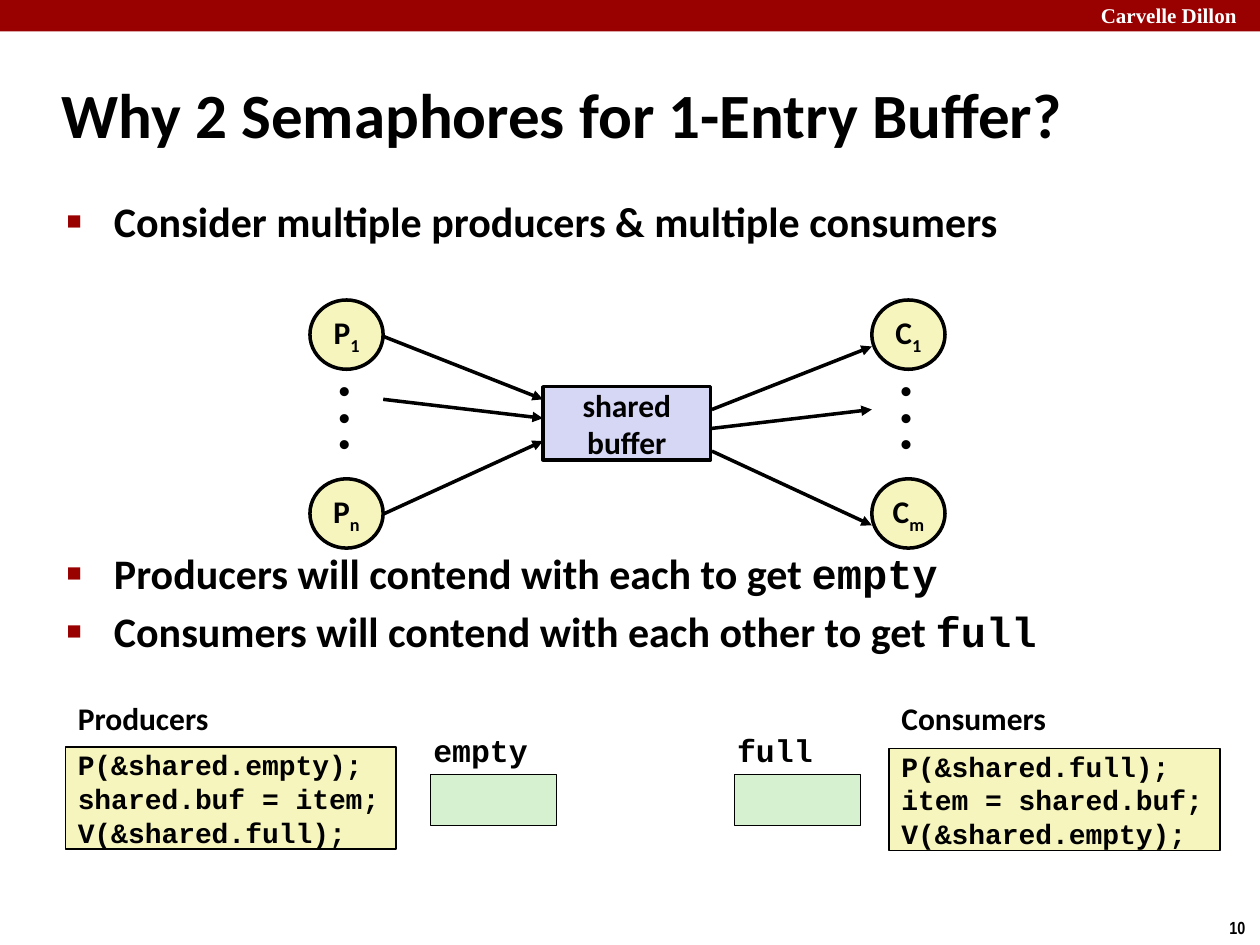
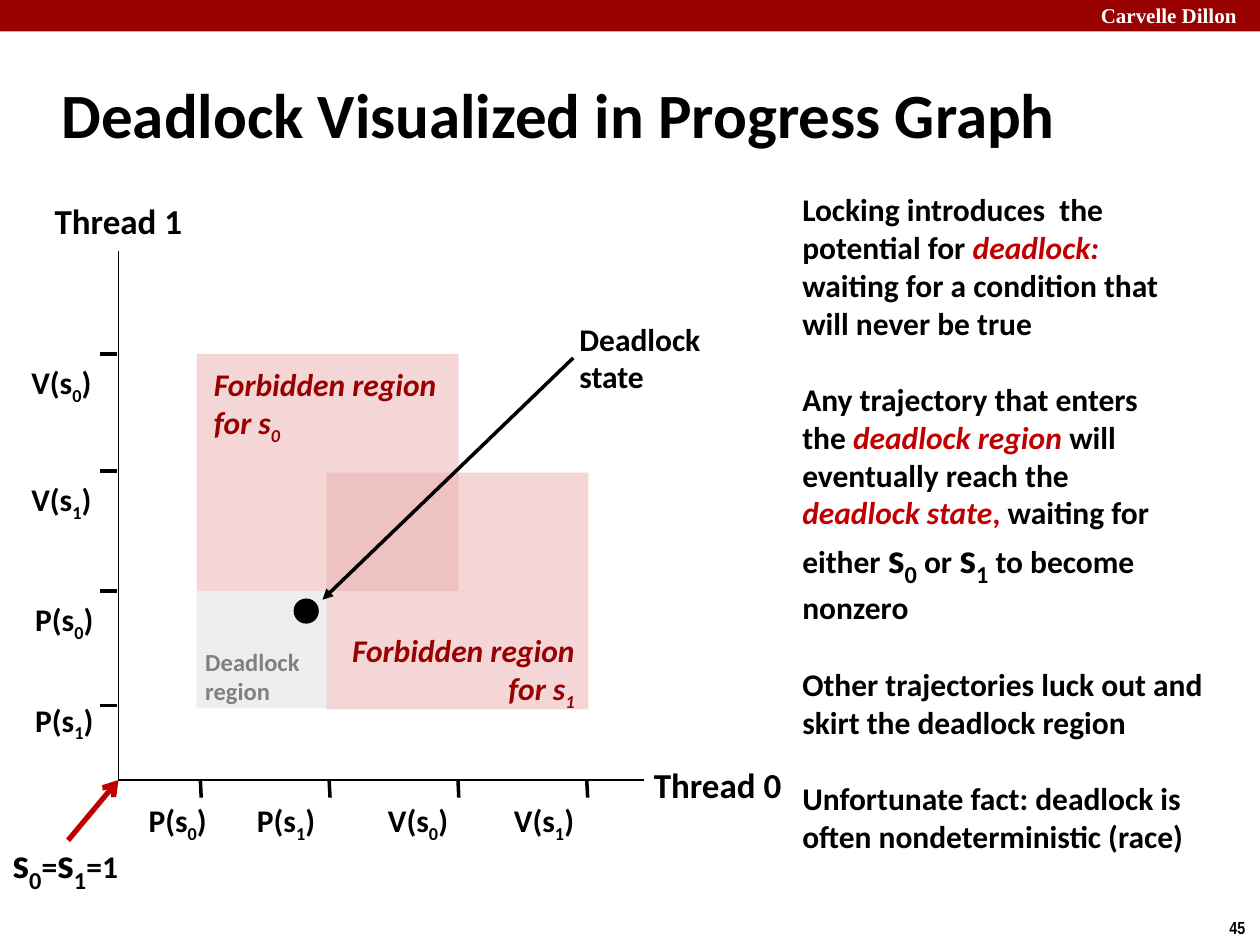
"""Build two lecture slides on semaphores and deadlock."""
from dataclasses import dataclass, field
from typing import Any, NamedTuple

from lxml.etree import SubElement
from pptx import Presentation
from pptx.dml.color import RGBColor
from pptx.enum.shapes import MSO_CONNECTOR as Connector, MSO_SHAPE as Preset
from pptx.enum.text import MSO_ANCHOR as Anchor, MSO_AUTO_SIZE as AutoSize, PP_ALIGN as Align
from pptx.oxml.ns import qn
from pptx.util import Pt

BLACK, WHITE, CRIMSON, ACCENT = "000000", "FFFFFF", "990000", "C00000"
CREAM, LILAC, MINT, PINK, GREY = "F6F5BD", "D6D6F5", "D5F1CF", "EBAFAF", "CCCCCC"
SANS, MONO = "Calibri", "Courier New"
FLAT = {"margin_top": 0, "margin_bottom": 0}
MIDDLE = {"vertical_anchor": Anchor.MIDDLE}
CENTRED = {"alignment": Align.CENTER}
LOWERED = {"baseline": "-25000"}
LARGE = {"size": 24}
STRESSED = {"color": ACCENT, "italic": True}


class Box(NamedTuple):
    left: float
    top: float
    width: float
    height: float


@dataclass(frozen=True)
class Words:
    lines: tuple
    font: dict = field(default_factory=dict)
    frame: dict = field(default_factory=dict)
    paragraph: dict = field(default_factory=dict)


@dataclass(frozen=True)
class Block:
    box: Box
    fill: str
    preset: Any = Preset.RECTANGLE
    line: float = 0
    opacity: int = 100
    words: Words | None = None


@dataclass(frozen=True)
class Stroke:
    start: tuple
    end: tuple
    width: float = 2
    color: str = BLACK
    tip: str = ""


def paint(code: str) -> RGBColor:
    """Turn a hex string into a colour."""
    return RGBColor.from_string(code)


def points(values: tuple) -> list:
    """Turn numbers into lengths in points."""
    return [Pt(value) for value in values]


def assign(target: Any, values: dict) -> None:
    """Set each named attribute on the target."""
    for name, value in values.items():
        setattr(target, name, value)


def style_run(run: Any, values: dict) -> None:
    """Format one run from a dict of font values."""
    for name, value in values.items():
        if name == "color":
            run.font.color.rgb = paint(value)
        elif name == "baseline":
            run.font._element.set(name, value)
        else:
            setattr(run.font, name, Pt(value) if name == "size" else value)


def write(frame: Any, words: Words) -> Any:
    """Fill a text frame with formatted lines."""
    assign(frame, {"word_wrap": False} | words.frame)
    base = {"name": SANS, "size": 18, "bold": True, "color": BLACK} | words.font
    for number, line in enumerate(words.lines):
        paragraph = frame.add_paragraph() if number else frame.paragraphs[0]
        assign(paragraph, words.paragraph)
        for part in (line,) if isinstance(line, str) else line:
            text, extra = (part, {}) if isinstance(part, str) else part
            run = paragraph.add_run()
            run.text = text
            style_run(run, base | extra)
    return frame


def add_words(slide: Any, box: Box, words: Words) -> Any:
    """Add a text box that fits its lines."""
    frame = slide.shapes.add_textbox(*points(box)).text_frame
    frame.auto_size = AutoSize.SHAPE_TO_FIT_TEXT
    return write(frame, words)


def add_block(slide: Any, block: Block) -> None:
    """Add a filled preset shape with optional outline and text."""
    shape = slide.shapes.add_shape(block.preset, *points(block.box))
    shape.shadow.inherit = False
    shape.fill.solid()
    shape.fill.fore_color.rgb = paint(block.fill)
    if block.opacity < 100:
        tint = shape.fill._xPr.find(".//" + qn("a:srgbClr"))
        SubElement(tint, qn("a:alpha"), val=str(block.opacity * 1000))
    if block.line:
        shape.line.color.rgb = paint(BLACK)
        shape.line.width = Pt(block.line)
    else:
        shape.line.fill.background()
    if block.words:
        write(shape.text_frame, block.words)


def add_stroke(slide: Any, stroke: Stroke) -> None:
    """Add a straight line with an optional arrowhead."""
    ends = points(stroke.start + stroke.end)
    connector = slide.shapes.add_connector(Connector.STRAIGHT, *ends)
    connector.line.color.rgb = paint(stroke.color)
    connector.line.width = Pt(stroke.width)
    if stroke.tip:
        SubElement(connector.line._get_or_add_ln(), qn("a:tailEnd"), type=stroke.tip)
    SubElement(connector._element.spPr, qn("a:effectLst"))


def add_bullet(paragraph: Any) -> None:
    """Give a paragraph a hanging red square."""
    properties = paragraph._p.get_or_add_pPr()
    indent = Pt(27)
    properties.set("marL", str(indent))
    properties.set("indent", str(-indent))
    SubElement(SubElement(properties, qn("a:buClr")), qn("a:srgbClr"), val=CRIMSON)
    SubElement(properties, qn("a:buSzPct"), val="60000")
    SubElement(properties, qn("a:buFont"), typeface="Arial")
    SubElement(properties, qn("a:buChar"), char="■")


def indexed(stem: str, index: str, close: str = "") -> tuple:
    """Return runs for a name with a subscript."""
    return (stem, (index, LOWERED)) + ((close,) if close else ())


def start_slide(deck: Any, heading: str, number: str) -> Any:
    """Add a slide with the shared band, title and page number."""
    slide = deck.slides.add_slide(deck.slide_layouts[5])
    add_block(slide, Block(Box(0, 0, 720, 18), CRIMSON))
    add_words(slide, Box(622, -2.2, 103, 21.6), Words(
        ("Carvelle Dillon",), {"name": "Times New Roman", "size": 12, "color": WHITE},
        {"word_wrap": True}))
    add_words(slide, Box(695.5, 520.6, 24.5, 19.4), Words(
        (number,), {"name": "Arial Narrow", "size": 10}))
    title = slide.shapes.title
    assign(title, dict(zip(("left", "top", "width", "height"), points((28, 34.6, 597.6, 59.8)))))
    write(title.text_frame, Words(
        (heading,), {"size": 36}, MIDDLE | {"word_wrap": True, "auto_size": AutoSize.NONE},
        {"alignment": Align.LEFT}))
    return slide


def build_semaphores(deck: Any) -> None:
    """Draw producers and consumers around a shared buffer."""
    slide = start_slide(deck, "Why 2 Semaphores for 1-Entry Buffer?", "10")
    claims = add_words(slide, Box(31, 108, 622, 250), Words((
        "Consider multiple producers & multiple consumers",
        ("Producers will contend with each to get ", ("empty", {"name": MONO})),
        ("Consumers will contend with each other to get ", ("full", {"name": MONO})),
    ), LARGE, {"word_wrap": True}))
    for claim, gap in zip(claims.paragraphs, (0, 172.4, 4.3)):
        claim.space_before = Pt(gap)
        add_bullet(claim)

    inside = FLAT | MIDDLE
    add_block(slide, Block(Box(310.3, 221, 95.8, 41.8), LILAC, line=2, words=Words(
        ("shared", "buffer"), frame=inside, paragraph=CENTRED)))
    for left, role, last in ((177.1, "P", "n"), (498.2, "C", "m")):
        for top, index in ((171.4, "1"), (273.6, last)):
            add_block(slide, Block(
                Box(left, top, 41.8, 39.6), CREAM, Preset.OVAL, 2,
                words=Words((indexed(role, index),), frame=inside, paragraph=CENTRED)))
        add_words(slide, Box(left + 9.4, 214.6, 23, 54), Words(
            ("•",) * 3, {"name": "Arial"}, paragraph={"line_spacing": 0.7}))

    flows = (
        (219, 310.3, ((192.2, 228.2), (228.2, 239), (293.8, 252))),
        (406.8, 498.2, ((234, 198), (244.8, 234), (257.8, 300.2))),
    )
    for source, target, heights in flows:
        for begin, finish in heights:
            add_stroke(slide, Stroke((source, begin), (target, finish), tip="triangle"))

    programs = (
        ("Producers", 37.4, 90.7, 427, ("P(&shared.empty);", "shared.buf = item;", "V(&shared.full);")),
        ("Consumers", 508, 98.6, 427.7, ("P(&shared.full);", "item = shared.buf;", "V(&shared.empty);")),
    )
    for role, left, width, top, code in programs:
        add_block(slide, Block(Box(left, top, 189, 58.3), CREAM, line=1, words=Words(
            code, {"name": MONO, "size": 16}, inside, {"alignment": Align.LEFT})))
        add_words(slide, Box(left, 396, width, 28.8), Words((role,)))
    for semaphore, left in (("empty", 246.2), ("full", 419.8)):
        add_block(slide, Block(Box(left, 442.8, 72, 28.8), MINT, line=0.75))
        width = 10.8 * len(semaphore) + 14.4
        add_words(slide, Box(left - 5.7, 414, width, 28.8), Words((semaphore,), {"name": MONO}))


def build_progress_graph(deck: Any) -> None:
    """Draw the progress graph with its forbidden and deadlock regions."""
    slide = start_slide(deck, "Deadlock Visualized in Progress Graph", "45")
    add_block(slide, Block(Box(112.3, 337.7, 74.2, 67), GREY, opacity=32))
    story = add_words(slide, Box(451.4, 108.7, 244.8, 378), Words((
        "Locking introduces  the",
        ("potential for ", ("deadlock:", STRESSED)),
        "waiting for a condition that will never be true",
        "Any trajectory that enters",
        ("the ", ("deadlock region ", STRESSED), "will"),
        "eventually reach the",
        (("deadlock state", STRESSED), (", ", {"color": ACCENT}), "waiting for either ",
         ("s", LARGE), ("0", LARGE | LOWERED), " or ",
         ("s", LARGE), ("1", LARGE | LOWERED), " to become nonzero"),
        "Other trajectories luck out and skirt the deadlock region",
        "Unfortunate fact: deadlock is often nondeterministic (race)",
    ), frame=FLAT | {"word_wrap": True}))
    for opener in (3, 7, 8):
        story.paragraphs[opener].space_before = Pt(22)

    origin = (67.7, 445.7)
    for end in ((368, 445.7), (67.7, 143.3)):
        add_stroke(slide, Stroke(origin, end, 1))
    for thread, box in (("Thread 0", Box(365.8, 432.7, 88.6, 31.7)),
                        ("Thread 1", Box(23.8, 110.2, 87.8, 31.7))):
        add_words(slide, box, Words((thread,), {"size": 20}, MIDDLE, CENTRED))

    across = (("P(s", "0", 77.8), ("P(s", "1", 139.7), ("V(s", "0", 214.6), ("V(s", "1", 286.6))
    for step, (stem, index, left) in enumerate(across):
        tick = 114.5 + 73.6 * step
        add_stroke(slide, Stroke((tick, 445.7), (tick + 0.5, 455.8)))
        add_words(slide, Box(left, 455.8, 49.3, 28.8),
                  Words((indexed(stem, index, ")"),), frame=MIDDLE))
    upward = (("V(s", "0", 10.8, 202.3, 205.2), ("V(s", "1", 10.8, 269.3, 272.2),
              ("P(s", "0", 13, 337.7, 340.6), ("P(s", "1", 13, 403.2, 398.2))
    for stem, index, left, tick, top in upward:
        add_stroke(slide, Stroke((56.9, tick), (67, tick)))
        add_words(slide, Box(left, top, 49.3, 28.8),
                  Words((indexed(stem, index, ")"),), frame=MIDDLE))

    regions = (
        ("0", Box(112.3, 202.3, 149.8, 135.4), Box(115.2, 205.2, 148.3, 51.1), Align.LEFT),
        ("1", Box(186.5, 270, 149.8, 135.4), Box(187.9, 357.1, 147.6, 51.1), Align.RIGHT),
    )
    for index, area, caption, side in regions:
        add_block(slide, Block(area, PINK, opacity=50))
        add_words(slide, caption, Words(
            ("Forbidden region", indexed("for s", index)),
            {"color": CRIMSON, "italic": True}, paragraph={"alignment": side}))

    add_block(slide, Block(Box(167.8, 342, 14.4, 14.4), BLACK, Preset.OVAL))
    snug = FLAT | MIDDLE
    add_words(slide, Box(324, 182.2, 84.2, 43.9), Words(("Deadlock", "state"), frame=snug))
    add_stroke(slide, Stroke((327.6, 204.5), (184.3, 342.7), tip="triangle"))
    add_words(slide, Box(110.2, 369.4, 69.1, 33.8), Words(
        ("Deadlock", "region"), {"size": 14, "color": "808080"}, snug))
    start_values = (("s", LARGE), ("0", LARGE | LOWERED), "=",
                    ("s", LARGE), ("1", LARGE | LOWERED), "=1")
    add_words(slide, Box(0, 480.2, 77.8, 28.8), Words((start_values,), frame=snug))
    add_stroke(slide, Stroke((38.9, 480.2), origin, 3, ACCENT, "arrow"))


def main() -> None:
    """Build and save the deck."""
    deck = Presentation()
    assign(deck, {"slide_width": Pt(720), "slide_height": Pt(540)})
    build_semaphores(deck)
    build_progress_graph(deck)
    deck.save("out.pptx")


if __name__ == "__main__":
    main()
